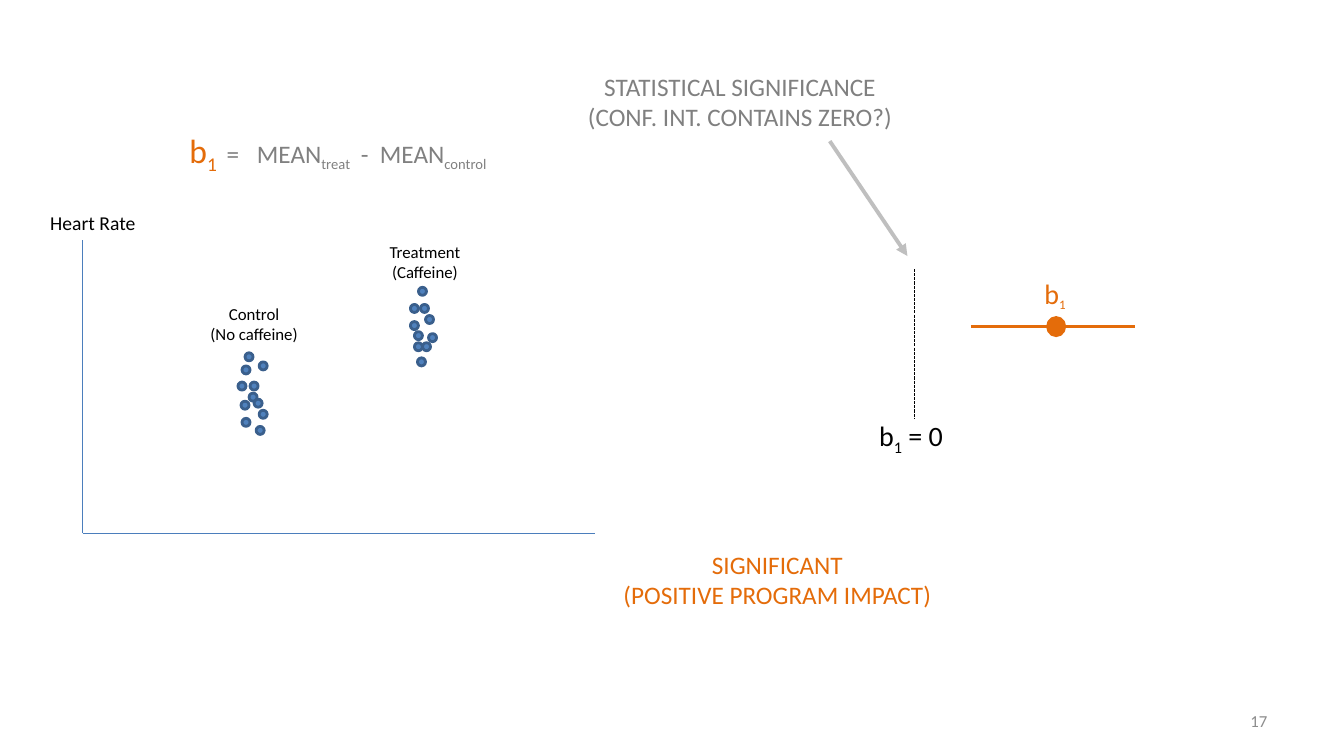
from dataclasses import dataclass

from lxml.etree import SubElement
from pptx import Presentation
from pptx.dml.color import RGBColor
from pptx.enum.dml import MSO_LINE
from pptx.enum.shapes import MSO_CONNECTOR, MSO_SHAPE
from pptx.enum.text import MSO_ANCHOR, MSO_AUTO_SIZE, PP_ALIGN
from pptx.oxml.ns import qn
from pptx.util import Inches, Pt

BLACK, GREY, ORANGE = "000000", "808080", "E46C0A"
LEFT, MID, RIGHT = PP_ALIGN.LEFT, PP_ALIGN.CENTER, PP_ALIGN.RIGHT


@dataclass
class Run:
    text: str
    size: float
    hue: str = BLACK
    sub: bool = False


@dataclass
class Label:
    box: tuple[float, float, float, float]
    rows: list[list[Run]]
    align: PP_ALIGN = LEFT
    wrap: bool = False
    tabs: tuple[float, ...] = ()


@dataclass
class Line:
    start: tuple[float, float]
    end: tuple[float, float]
    hue: str
    width: float
    dash: bool = False
    arrow: bool = False


def color(code: str) -> RGBColor:
    return RGBColor.from_string(code)


def rows(size: float, hue: str, *texts: str) -> list[list[Run]]:
    return [[Run(text, size, hue)] for text in texts]


def add_label(slide, label: Label):
    shape = slide.shapes.add_textbox(*map(Inches, label.box))
    frame = shape.text_frame
    frame.word_wrap = label.wrap
    frame.auto_size = MSO_AUTO_SIZE.SHAPE_TO_FIT_TEXT
    for i, runs in enumerate(label.rows):
        para = frame.paragraphs[0] if i == 0 else frame.add_paragraph()
        para.alignment = label.align
        if label.tabs:
            stops = SubElement(para._p.get_or_add_pPr(), qn("a:tabLst"))
            for pos in label.tabs:
                SubElement(stops, qn("a:tab"), pos=str(Inches(pos)), algn="l")
        for item in runs:
            run = para.add_run()
            run.text = item.text
            run.font.name = "Calibri"
            run.font.size = Pt(item.size)
            run.font.color.rgb = color(item.hue)
            if item.sub:
                run._r.get_or_add_rPr().set("baseline", "-25000")
    return shape


def add_line(slide, line: Line) -> None:
    ends = map(Inches, line.start + line.end)
    shape = slide.shapes.add_connector(MSO_CONNECTOR.STRAIGHT, *ends)
    shape.line.color.rgb = color(line.hue)
    shape.line.width = Pt(line.width)
    if line.dash:
        shape.line.dash_style = MSO_LINE.SQUARE_DOT
    if line.arrow:
        SubElement(shape.line._get_or_add_ln(), qn("a:tailEnd"), type="triangle")
    SubElement(shape._element.spPr, qn("a:effectLst"))


def add_dot(slide, left: float, top: float, wide: float, high: float,
            fill: str, edge: str) -> None:
    place = map(Inches, (left, top, wide, high))
    dot = slide.shapes.add_shape(MSO_SHAPE.OVAL, *place)
    dot.shadow.inherit = False
    dot.fill.solid()
    dot.fill.fore_color.rgb = color(fill)
    dot.line.color.rgb = color(edge)
    dot.line.width = Pt(2)


# Scatter points: left and top of each dot
CONTROL = [
    (2.36, 3.79), (2.48, 3.79), (2.47, 3.9), (2.39, 3.98), (2.57, 4.07),
    (2.4, 4.15), (2.54, 4.23), (2.57, 3.59), (2.43, 3.5), (2.4, 3.63),
    (2.52, 3.96),
]
TREAT = [
    (4.07, 3.19), (4.07, 3.02), (4.22, 3.13), (4.25, 3.31), (4.11, 3.4),
    (4.19, 3.4), (4.14, 3.55), (4.15, 2.85), (4.17, 3.02), (4.11, 3.29),
]

# Axes, zero mark, interval and pointer
ORIGIN = (0.82, 5.29)
LINES = [
    Line(ORIGIN, (5.9, 5.29), "4B7EBC", 0.75),
    Line(ORIGIN, (0.82, 2.38), "4B7EBC", 0.75),
    Line((9.07, 2.67), (9.07, 4.16), BLACK, 0.75, dash=True),
    Line((9.63, 3.24), (11.26, 3.24), ORANGE, 2),
    Line((8.23, 1.4), (9, 2.54), "BFBFBF", 2.75, arrow=True),
]

FORMULA = [
    Run("b", 24, ORANGE), Run("1", 24, ORANGE, True),
    Run("\t=\tMEAN", 18, GREY), Run("treat", 18, GREY, True),
    Run("\t-\tMEAN", 18, GREY), Run("control", 18, GREY, True),
]
LABELS = [
    Label((0.4, 2.04, 1.06, 0.34), rows(14, BLACK, "Heart Rate")),
    Label((3.76, 2.35, 0.91, 0.5),
          rows(12, BLACK, "Treatment", "(Caffeine)"), MID),
    Label((1.98, 2.96, 1.08, 0.5),
          rows(12, BLACK, "Control", "(No caffeine)"), MID),
    Label((8.62, 4.1, 0.85, 0.44),
          [[Run("b", 20), Run("1", 20, sub=True), Run(" = 0", 20)]]),
    Label((10.26, 2.69, 0.42, 0.44),
          [[Run("b", 20, ORANGE), Run("1", 16, ORANGE, True)]]),
    Label((6.07, 5.4, 3.28, 0.71),
          rows(18, ORANGE, "SIGNIFICANT", "(POSITIVE PROGRAM IMPACT)"), MID),
    Label((1.78, 1.24, 3.4, 0.5), [FORMULA], wrap=True,
          tabs=(0.37, 0.67, 1.7, 1.89)),
    Label((5.61, 0.66, 3.46, 0.71),
          rows(18, GREY, "STATISTICAL SIGNIFICANCE",
               "(CONF. INT. CONTAINS ZERO?)"), MID, True),
]


def main() -> None:
    deck = Presentation()
    deck.slide_width, deck.slide_height = Inches(13.33), Inches(7.5)
    slide = deck.slides.add_slide(deck.slide_layouts[6])

    for line in LINES:
        add_line(slide, line)
    for left, top in CONTROL + TREAT:
        add_dot(slide, left, top, 0.08, 0.08, "4F81BD", "3A5F8C")
    add_dot(slide, 10.39, 3.15, 0.17, 0.18, ORANGE, ORANGE)
    for label in LABELS:
        add_label(slide, label)

    # Page number
    page = Label((9.56, 6.95, 3.11, 0.4), rows(12, "8C8C8C", "17"), RIGHT, True)
    frame = add_label(slide, page).text_frame
    frame.auto_size = MSO_AUTO_SIZE.NONE
    frame.vertical_anchor = MSO_ANCHOR.MIDDLE

    deck.save("out.pptx")


if __name__ == "__main__":
    main()
